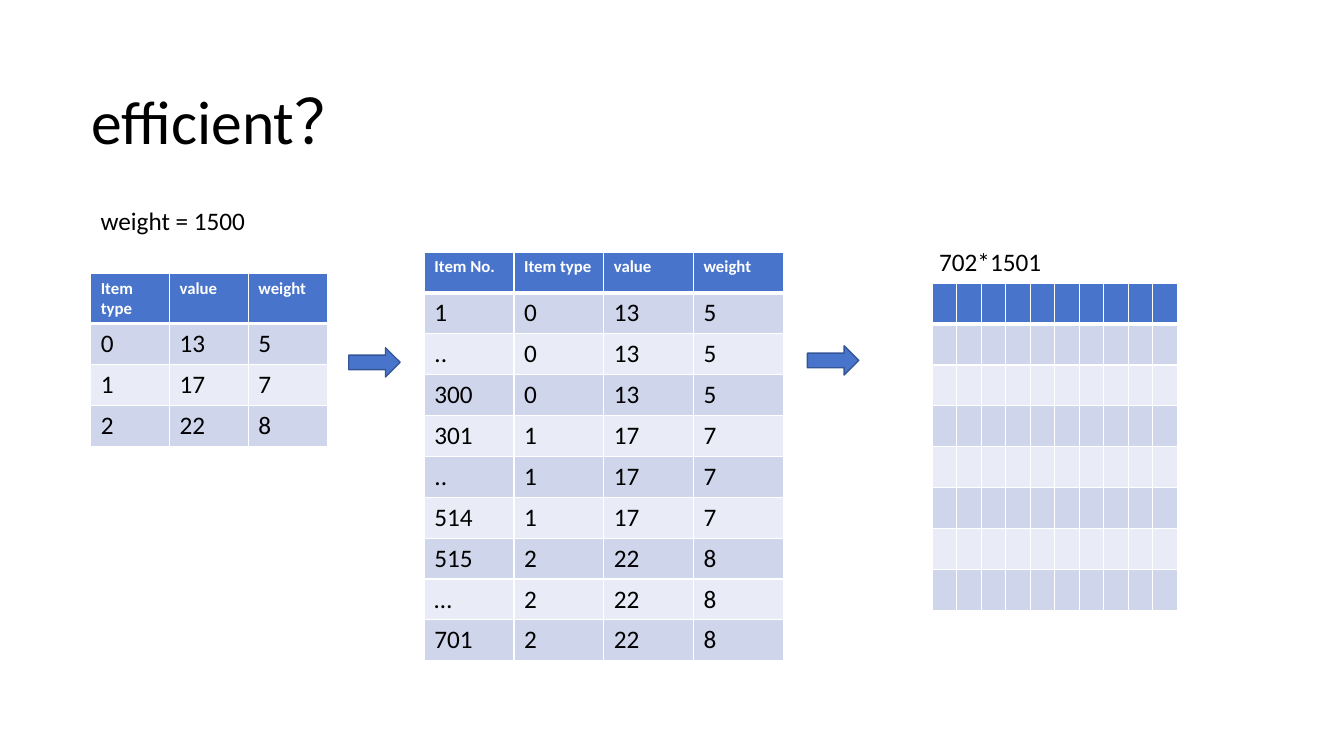
from lxml.etree import SubElement as Sub
from pptx import Presentation
from pptx.dml.color import RGBColor as RGB
from pptx.enum.shapes import MSO_SHAPE as Shape
from pptx.enum.text import MSO_ANCHOR as Anchor, MSO_AUTO_SIZE as Auto
from pptx.oxml.ns import qn
from pptx.util import Pt

BLUE = RGB(0x48, 0x74, 0xCB)
EDGE = RGB(0x35, 0x56, 0x96)
DARK = RGB(0xCF, 0xD6, 0xEC)
LIGHT = RGB(0xE9, 0xEB, 0xF6)
WHITE = RGB(255, 255, 255)
BLACK = RGB(0, 0, 0)

HEAD = dict(name="Calibri", size=Pt(12), bold=True)
BODY = dict(name="Calibri", size=Pt(18), bold=False)
TITLE = dict(name="Calibri", size=Pt(44))
ROW = 29.2

ITEMS = [("0", "13", "5"), ("1", "17", "7"), ("2", "22", "8")]
COPIES = [("1", "..", "300"), ("301", "..", "514"), ("515", "…", "701")]


def style(font, form, color):
    for key, value in form.items():
        setattr(font, key, value)
    font.color.rgb = color


def add_text(slide, text, box, form):
    frame = slide.shapes.add_textbox(*map(Pt, box)).text_frame
    para = frame.paragraphs[0]
    para.text = text
    style(para.font, form, BLACK)
    return frame


def add_title(slide, text, box):
    frame = add_text(slide, text, box, TITLE)
    frame.word_wrap = True
    frame.vertical_anchor = Anchor.MIDDLE
    frame.paragraphs[0].line_spacing = 0.9


def add_label(slide, text, box):
    frame = add_text(slide, text, box, BODY)
    frame.word_wrap = False
    frame.auto_size = Auto.SHAPE_TO_FIT_TEXT


def add_arrow(slide, left, top):
    arrow = slide.shapes.add_shape(
        Shape.RIGHT_ARROW, Pt(left), Pt(top), Pt(36.7), Pt(20.9))
    arrow.shadow.inherit = False
    arrow.fill.solid()
    arrow.fill.fore_color.rgb = BLUE
    arrow.line.color.rgb = EDGE
    arrow.line.width = Pt(1)


def set_edges(cell, row):
    """Draw white borders, thick between the header and the first row."""
    props = cell._tc.get_or_add_tcPr()
    wide = {(0, "B"), (1, "T")}
    for side in "LRTB":
        width = Pt(3 if (row, side) in wide else 1)
        line = Sub(props, qn(f"a:ln{side}"), w=str(width))
        Sub(Sub(line, qn("a:solidFill")), qn("a:srgbClr"), val=str(WHITE))


def add_grid(slide, left, top, width, rows):
    """Add a table whose columns all have the given width."""
    count = len(rows[0])
    table = slide.shapes.add_table(
        len(rows), count, Pt(left), Pt(top),
        Pt(width * count), Pt(ROW * len(rows))).table
    for col in table.columns:
        col.width = Pt(width)
    for i, row in enumerate(rows):
        table.rows[i].height = Pt(ROW)
        for j, text in enumerate(row):
            cell = table.cell(i, j)
            set_edges(cell, i)
            cell.fill.solid()
            cell.fill.fore_color.rgb = (
                BLUE if i == 0 else DARK if i % 2 else LIGHT)
            if text:
                para = cell.text_frame.paragraphs[0]
                para.text = text
                style(para.font, HEAD if i == 0 else BODY,
                      WHITE if i == 0 else BLACK)


def main():
    deck = Presentation()
    deck.slide_width, deck.slide_height = Pt(960), Pt(540)
    slide = deck.slides.add_slide(deck.slide_layouts[6])

    add_title(slide, "efficient？", (58.3, 61.2, 689.8, 55.4))
    add_label(slide, "weight = 1500", (64.8, 143.3, 136.1, 28.8))

    names = ("Item type", "value", "weight")
    add_grid(slide, 64.8, 195.1, 56.3, [names, *ITEMS])
    units = [(num, *item) for nums, item in zip(COPIES, ITEMS)
             for num in nums]
    add_grid(slide, 303.1, 180, 64.1, [("Item No.", *names), *units])

    add_arrow(slide, 249.1, 248.4)
    add_arrow(slide, 576.7, 247)

    add_grid(slide, 666, 202.3, 17.5, [[""] * 10] * 8)
    add_label(slide, "702*1501", (663.8, 172.1, 92.9, 28.8))
    deck.save("out.pptx")


if __name__ == "__main__":
    main()
